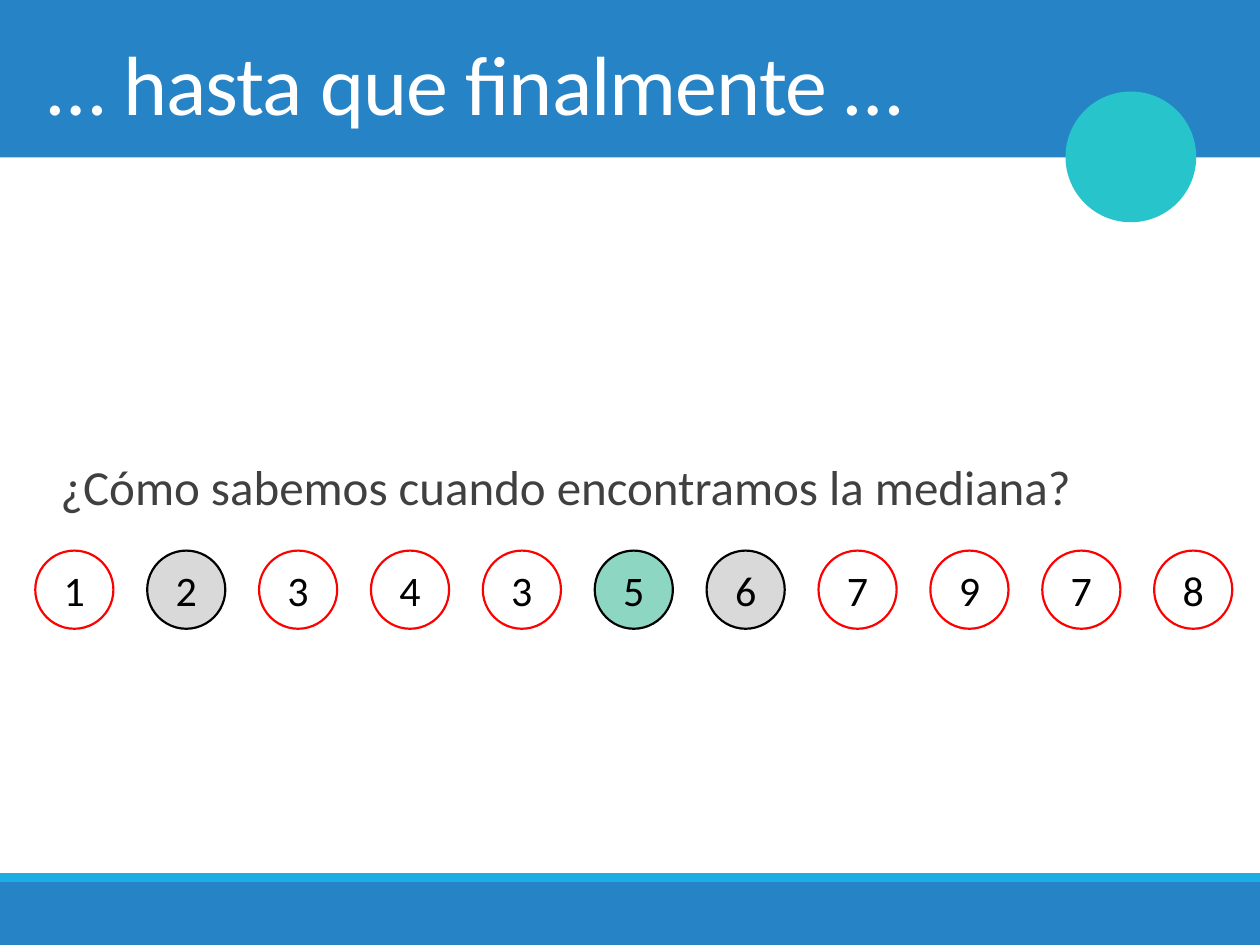
from dataclasses import dataclass

from lxml import etree
from pptx import Presentation
from pptx.dml.color import RGBColor as RGB
from pptx.enum.shapes import MSO_SHAPE as Shape
from pptx.enum.text import MSO_ANCHOR as Anchor, MSO_AUTO_SIZE as AutoSize, PP_ALIGN as Align
from pptx.oxml.ns import qn
from pptx.util import Inches, Pt


@dataclass(frozen=True)
class Theme:
    font: str = "Calibri"
    title_size: float = 48
    body_size: float = 28
    number_size: float = 24
    band: str = "2683C6"
    stripe: str = "1CADE4"
    badge: str = "28C4CC"
    white: str = "FFFFFF"
    body_text: str = "404040"
    black: str = "000000"
    pending: str = "FF0000"
    compared: str = "D9D9D9"
    median: str = "8DD6C1"


def write(frame, text, *, font, size, color, align=Align.LEFT, indent=0, spacing=None):
    """Put one formatted paragraph, without a bullet, in the middle of a frame."""
    frame.word_wrap = True
    frame.auto_size = AutoSize.NONE
    frame.vertical_anchor = Anchor.MIDDLE
    paragraph = frame.paragraphs[0]
    properties = paragraph._p.get_or_add_pPr()
    properties.set("marL", str(Inches(indent)))
    properties.set("indent", "0")
    etree.SubElement(properties, qn("a:buNone"))
    paragraph.alignment = align
    paragraph.space_before = Pt(0)
    run = paragraph.add_run()
    run.text = text
    run.font.name = font
    run.font.size = Pt(size)
    run.font.color.rgb = RGB.from_string(color)
    if spacing is not None:
        run._r.get_or_add_rPr().set("spc", str(int(spacing * 100)))


class SlideBuilder:
    def __init__(self, slide, theme):
        self.slide = slide
        self.theme = theme

    def shape(self, kind, left, top, width, height, fill, line=None, line_width=1.25):
        shape = self.slide.shapes.add_shape(
            kind, Inches(left), Inches(top), Inches(width), Inches(height))
        shape.shadow.inherit = False
        shape.fill.solid()
        shape.fill.fore_color.rgb = RGB.from_string(fill)
        if line:
            shape.line.color.rgb = RGB.from_string(line)
            shape.line.width = Pt(line_width)
        else:
            shape.line.fill.background()
        return shape

    def placeholder(self, holder, left, top, width, height, text, **style):
        holder.left, holder.top = Inches(left), Inches(top)
        holder.width, holder.height = Inches(width), Inches(height)
        # Bring the placeholder in front of the bands
        holder.element.getparent().append(holder.element)
        write(holder.text_frame, text, font=self.theme.font, **style)
        return holder

    def number(self, left, top, diameter, text, fill, line):
        circle = self.shape(Shape.OVAL, left, top, diameter, diameter, fill, line)
        write(circle.text_frame, text, font=self.theme.font,
              size=self.theme.number_size, color=self.theme.black, align=Align.CENTER)


def main():
    theme = Theme()
    deck = Presentation()
    deck.slide_width, deck.slide_height = Inches(10), Inches(7.5)
    slide = deck.slides.add_slide(deck.slide_layouts[1])
    builder = SlideBuilder(slide, theme)

    # Header, footer and round badge
    builder.shape(Shape.RECTANGLE, 0, 0, 10, 1.25, theme.band)
    builder.shape(Shape.RECTANGLE, 0, 7, 10, 0.5, theme.band)
    builder.shape(Shape.RECTANGLE, 0, 6.93, 10, 0.07, theme.stripe)
    builder.shape(Shape.OVAL, 8.47, 0.74, 1.01, 1.01, theme.badge, theme.badge, 2)

    # Question and title
    question = builder.placeholder(
        slide.placeholders[1], 0.28, 1.41, 9.61, 5.36,
        "¿Cómo sabemos cuando encontramos la mediana?",
        size=theme.body_size, color=theme.body_text, indent=0.1)
    question.text_frame.margin_bottom = Inches(0.51)
    title = builder.placeholder(
        slide.shapes.title, 0.28, 0, 9.45, 1.25, "… hasta que finalmente …",
        size=theme.title_size, color=theme.white, spacing=-0.5)
    title.text_frame.margin_top = Inches(0.1)

    # Row of numbers: the median and the values compared with it stand out
    numbers = [1, 2, 3, 4, 3, 5, 6, 7, 9, 7, 8]
    highlights = {2: theme.compared, 5: theme.median, 6: theme.compared}
    first_left, last_left = 0.28, 9.16
    pitch = (last_left - first_left) / (len(numbers) - 1)
    for index, value in enumerate(numbers):
        builder.number(first_left + index * pitch, 4.37, 0.62, str(value),
                       fill=highlights.get(value, theme.white),
                       line=theme.black if value in highlights else theme.pending)

    deck.save("out.pptx")


if __name__ == "__main__":
    main()
